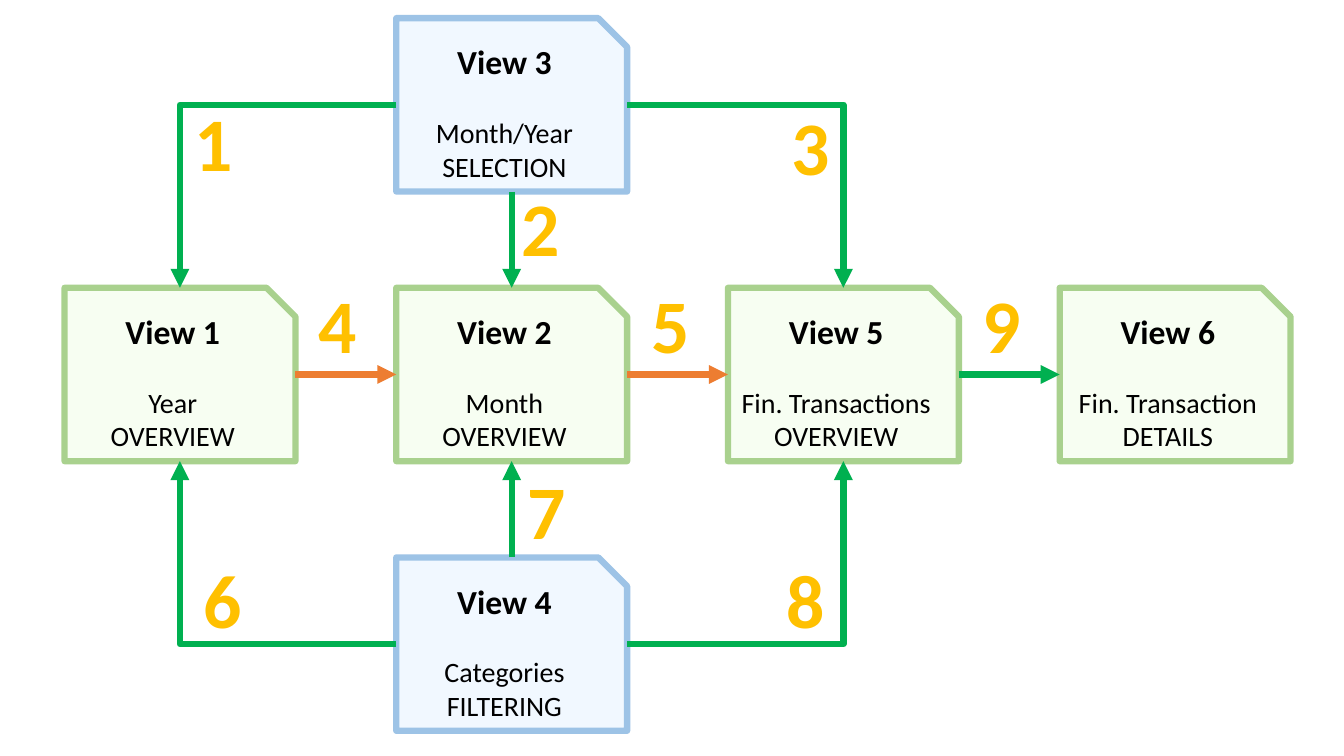
from dataclasses import dataclass

from lxml.etree import SubElement
from pptx import Presentation
from pptx.dml.color import RGBColor
from pptx.enum.shapes import MSO_CONNECTOR, MSO_SHAPE
from pptx.enum.text import MSO_ANCHOR, PP_ALIGN
from pptx.oxml.ns import qn
from pptx.util import Inches, Pt


@dataclass(frozen=True)
class Theme:
    """Colours, font and sizes shared by the whole diagram."""

    font: str = "Calibri"
    title: int = 24
    detail: int = 20
    number: int = 54
    stroke: float = 4.5
    gap: float = 24.4
    ink: str = "000000"
    gold: str = "FFC000"
    green: str = "00B050"
    orange: str = "ED7D31"
    overview: tuple = ("F1FEE7", "A9D18E")
    control: tuple = ("E5F2FF", "9DC3E6")


THEME = Theme()
LEFT, TOP = 0.64, 0.18
COLUMN_STEP, ROW_STEP = 3.29, 2.675
VIEW_WIDTH, VIEW_HEIGHT = 2.29, 1.72
TOP_SIDE, LEFT_SIDE, BOTTOM_SIDE, RIGHT_SIDE = range(4)

VIEWS = [
    ("View 1", "Year\nOVERVIEW", 0, 1, THEME.overview),
    ("View 2", "Month\nOVERVIEW", 1, 1, THEME.overview),
    ("View 5", "Fin. Transactions\nOVERVIEW", 2, 1, THEME.overview),
    ("View 3", "Month/Year\nSELECTION", 1, 0, THEME.control),
    ("View 6", "Fin. Transaction\nDETAILS", 3, 1, THEME.overview),
    ("View 4", "Categories\nFILTERING", 1, 2, THEME.control),
]

ARROWS = [
    ("View 5", RIGHT_SIDE, "View 6", LEFT_SIDE, THEME.green),
    ("View 3", LEFT_SIDE, "View 1", TOP_SIDE, THEME.green),
    ("View 3", RIGHT_SIDE, "View 5", TOP_SIDE, THEME.green),
    ("View 3", BOTTOM_SIDE, "View 2", TOP_SIDE, THEME.green),
    ("View 4", TOP_SIDE, "View 2", BOTTOM_SIDE, THEME.green),
    ("View 4", LEFT_SIDE, "View 1", BOTTOM_SIDE, THEME.green),
    ("View 4", RIGHT_SIDE, "View 5", BOTTOM_SIDE, THEME.green),
    ("View 1", RIGHT_SIDE, "View 2", LEFT_SIDE, THEME.orange),
    ("View 2", RIGHT_SIDE, "View 5", LEFT_SIDE, THEME.orange),
]

NUMBERS = [
    ("3", 7.74, 0.94),
    ("2", 5.07, 1.75),
    ("1", 1.82, 0.9),
    ("4", 3.05, 2.71),
    ("5", 6.36, 2.71),
    ("6", 1.91, 5.44),
    ("7", 5.13, 4.55),
    ("9", 9.64, 2.71),
    ("8", 7.7, 5.44),
]


def write(para, text, size, color=THEME.ink, bold=False, before=0):
    """Fill a centred paragraph with formatted text."""
    para.text = text
    para.alignment = PP_ALIGN.CENTER
    para.space_before = Pt(before)
    for span in para.runs:
        span.font.name = THEME.font
        span.font.size = Pt(size)
        span.font.bold = bold
        span.font.color.rgb = RGBColor.from_string(color)


def add_view(page, title, detail, left, top, colors):
    """Draw one snipped card with its title and detail."""
    box = page.shapes.add_shape(
        MSO_SHAPE.SNIP_1_RECTANGLE,
        Inches(left), Inches(top), Inches(VIEW_WIDTH), Inches(VIEW_HEIGHT),
    )
    fill, border = colors
    box.shadow.inherit = False
    box.fill.solid()
    box.fill.fore_color.rgb = RGBColor.from_string(fill)
    tint = box.fill._xPr.find(qn("a:solidFill")).find(qn("a:srgbClr"))
    SubElement(tint, qn("a:alpha"), val="50000")
    box.line.color.rgb = RGBColor.from_string(border)
    box.line.width = Pt(THEME.stroke)
    frame = box.text_frame
    frame.word_wrap = True
    frame.vertical_anchor = MSO_ANCHOR.MIDDLE
    write(frame.paragraphs[0], title, THEME.title, bold=True)
    write(frame.add_paragraph(), detail, THEME.detail, before=THEME.gap)
    return box


def add_arrow(page, source, source_side, target, target_side, color):
    """Join two cards, turning once when their sides are perpendicular."""
    turns = source_side % 2 != target_side % 2
    kind = MSO_CONNECTOR.ELBOW if turns else MSO_CONNECTOR.STRAIGHT
    arrow = page.shapes.add_connector(kind, 0, 0, 0, 0)
    arrow.begin_connect(source, source_side)
    arrow.end_connect(target, target_side)
    arrow.line.color.rgb = RGBColor.from_string(color)
    arrow.line.width = Pt(THEME.stroke)
    properties = arrow._element.spPr
    if turns:
        properties.find(qn("a:prstGeom")).set("prst", "bentConnector2")
    SubElement(properties.get_or_add_ln(), qn("a:tailEnd"), type="triangle")
    SubElement(properties, qn("a:effectLst"))


def add_number(page, text, left, top):
    """Place a large step number beside its arrow."""
    box = page.shapes.add_textbox(Inches(left), Inches(top), Inches(0.59), Inches(1.01))
    box.text_frame.word_wrap = False
    write(box.text_frame.paragraphs[0], text, THEME.number, THEME.gold, bold=True)


def add_flow(page):
    """Draw the cards on their grid, then the arrows and the numbers."""
    cards = {}
    for title, detail, column, row, colors in VIEWS:
        left, top = LEFT + column * COLUMN_STEP, TOP + row * ROW_STEP
        cards[title] = add_view(page, title, detail, left, top, colors)
    for source, source_side, target, target_side, color in ARROWS:
        add_arrow(page, cards[source], source_side, cards[target], target_side, color)
    for text, left, top in NUMBERS:
        add_number(page, text, left, top)


def main():
    """Build the one-page deck and save it."""
    deck = Presentation()
    deck.slide_width, deck.slide_height = Inches(13.33), Inches(7.5)
    page = deck.slides.add_slide(deck.slide_layouts[6])
    add_flow(page)
    deck.save("out.pptx")


if __name__ == "__main__":
    main()
